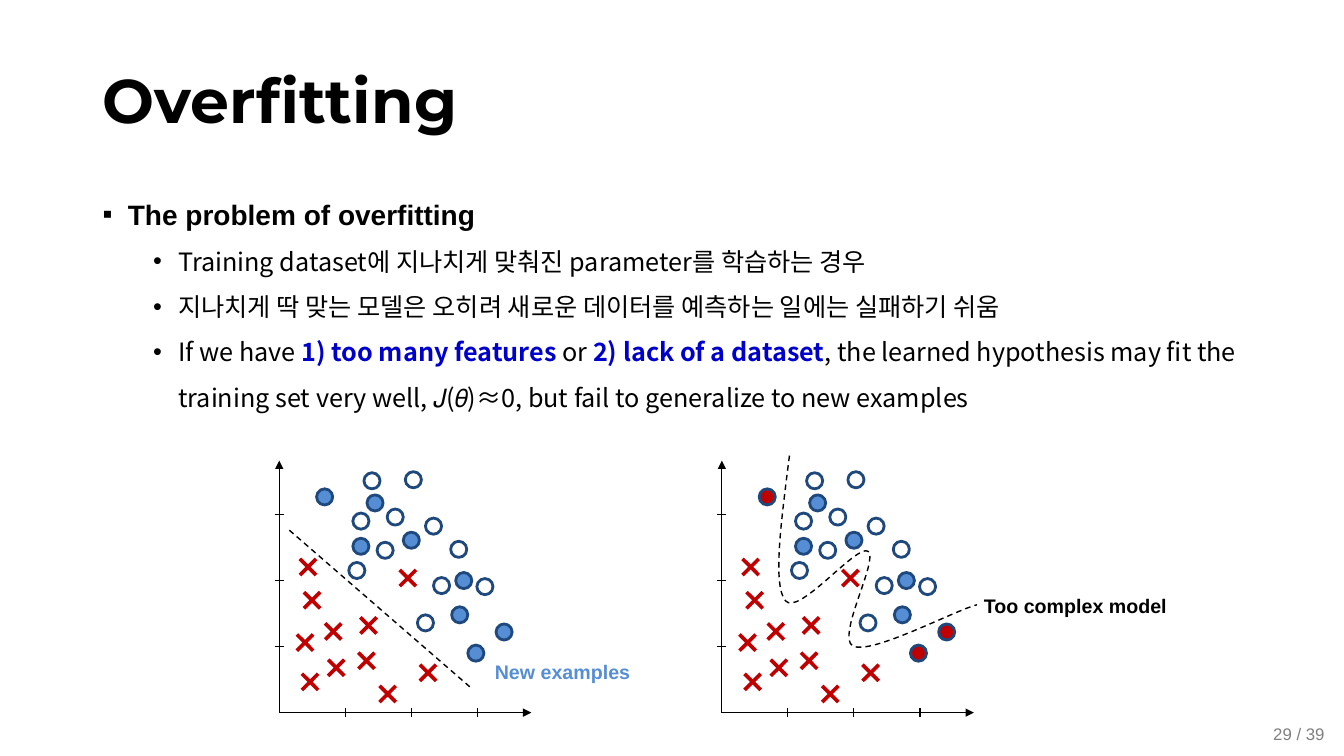
from lxml.etree import SubElement as Sub
from pptx import Presentation
from pptx.dml.color import RGBColor as Rgb
from pptx.enum.dml import MSO_LINE as Dash
from pptx.enum.shapes import MSO_CONNECTOR as Conn, MSO_SHAPE as Shape
from pptx.enum.text import MSO_ANCHOR as Anchor, PP_ALIGN as Align
from pptx.oxml.ns import qn
from pptx.util import Inches, Pt

HUES = {"black": "000000", "gray": "808080", "red": "C00000",
        "navy": "1F497D", "blue": "558ED5", "mark": "0000CC"}
SANS, KOREAN = "Arial", "Noto Sans CJK KR"

CROSSES = [(.17, 1.23), (.15, 2.04), (.38, 1.54), (1.32, 1.95), (.13, .9), (.41, 1.9),
           (.71, 1.83), (.92, 2.16), (.1, 1.65), (.73, 1.48), (1.12, 1.01)]
RINGS = [(1.96, 1.17), (1.53, 1.16), (.84, .12), (1.7, .8), (.97, .81), (.73, .52),
         (1.07, .48), (1.25, .11), (1.45, .57), (1.37, 1.53), (.69, 1.01)]
GOOD = [(1.23, .71), (1.71, 1.45), (.73, .77), (1.75, 1.11), (.87, .34)]
HARD = [(.37, .28), (2.15, 1.62), (1.87, 1.83)]
BENDS = [(.67, -.05), (.59, .59), (.5, 1.23), (.63, 1.39), (.76, 1.55), (1.34, .82),
         (1.45, .9), (1.56, .98), (1.13, 1.75), (1.3, 1.84), (1.48, 1.93), (2.3, 1.49),
         (2.53, 1.43)]

POINTS = [
    [("Training dataset에 지나치게 맞춰진 parameter를 학습하는 경우", False)],
    [("지나치게 딱 맞는 모델은 오히려 새로운 데이터를 예측하는 일에는 실패하기 쉬움", False)],
    [("If we have ", False), ("1) too many features", True), (" or ", False),
     ("2) lack of a dataset", True),
     (", the learned hypothesis may fit the training set very well, 𝐽(𝜃)≈0, "
      "but fail to generalize to new examples", False)],
]


def tint(hue):
    """Return the named colour."""
    return Rgb.from_string(HUES[hue])


def style(para, size, face=SANS, hue="black", bold=False):
    """Set the font of a whole paragraph."""
    font = para.font
    font.size, font.bold, font.name = Pt(size), bold, face
    font.color.rgb = tint(hue)
    Sub(font._element, qn("a:ea"), typeface=face)


def frame(slide, x, y, w, h, wrap=True):
    """Add a text box and return its text frame."""
    text = slide.shapes.add_textbox(*map(Inches, (x, y, w, h))).text_frame
    text.word_wrap = wrap
    return text


def bullet(para, sign, left):
    """Give a paragraph a hanging bullet."""
    props = para._p.get_or_add_pPr()
    props.set("marL", str(Inches(left)))
    props.set("indent", str(Inches(-.25)))
    Sub(props, qn("a:buFont"), typeface=SANS)
    Sub(props, qn("a:buChar"), char=sign)
    para.line_spacing = 1.5


def title(slide, x, y, w, h):
    """Write the heading."""
    text = frame(slide, x, y, w, h)
    text.vertical_anchor = Anchor.MIDDLE
    para = text.paragraphs[0]
    para.text, para.line_spacing = "Overfitting", .9
    style(para, 44, "Montserrat", bold=True)


def body(slide, x, y, w, h):
    """Write the bulleted list."""
    text = frame(slide, x, y, w, h)
    head = text.paragraphs[0]
    head.text = "The problem of overfitting"
    bullet(head, "▪", .25)
    style(head, 20, bold=True)
    for point in POINTS:
        para = text.add_paragraph()
        para.level = 1
        bullet(para, "•", .75)
        style(para, 18, KOREAN)
        for words, strong in point:
            run = para.add_run()
            run.text = words
            if strong:
                run.font.bold = True
                run.font.color.rgb = tint("mark")


def footer(slide, x, y, w, h):
    """Write the page number."""
    para = frame(slide, x, y, w, h, wrap=False).paragraphs[0]
    para.text = "29 / 39"
    style(para, 12, hue="gray")


def label(slide, x, y, w, words, hue):
    """Write a caption beside a plot."""
    para = frame(slide, x, y, w, .38).paragraphs[0]
    para.text, para.line_spacing, para.alignment = words, 1.2, Align.JUSTIFY
    style(para, 14, hue=hue, bold=True)


def stroke(slide, x1, y1, x2, y2, width=.75, arrow=False, dash=False):
    """Draw a straight black line."""
    rule = slide.shapes.add_connector(Conn.STRAIGHT, *map(Inches, (x1, y1, x2, y2)))
    rule.line.color.rgb, rule.line.width = tint("black"), Pt(width)
    if dash:
        rule.line.dash_style = Dash.DASH
    if arrow:
        Sub(rule.line._get_or_add_ln(), qn("a:tailEnd"), type="triangle")
    Sub(rule._element.spPr, qn("a:effectLst"))


def cross(slide, x, y):
    """Draw a red cross."""
    mark = slide.shapes.add_shape(Shape.MATH_MULTIPLY, *map(Inches, (x, y, .31, .31)))
    mark.shadow.inherit = False
    mark.adjustments[0] = .118
    mark.fill.solid()
    mark.fill.fore_color.rgb = tint("red")
    mark.line.fill.background()


def dot(slide, x, y, hue=None):
    """Draw a navy ring, filled when a hue is given."""
    disc = slide.shapes.add_shape(Shape.OVAL, *map(Inches, (x, y, .16, .16)))
    disc.shadow.inherit = False
    disc.line.color.rgb, disc.line.width = tint("navy"), Pt(2)
    if hue:
        disc.fill.solid()
        disc.fill.fore_color.rgb = tint(hue)
    else:
        disc.fill.background()


def plot(slide, x, y, side, hue):
    """Draw axes, ticks and samples, with the hard samples in the given hue."""
    for dx, dy in CROSSES:
        cross(slide, x + dx, y + dy)
    for dx, dy in RINGS:
        dot(slide, x + dx, y + dy)
    base = y + side
    stroke(slide, x, base, x + side, base, arrow=True)
    stroke(slide, x, base, x, y, arrow=True)
    for i in (1, 2, 3):
        gap = .655 * i
        stroke(slide, x + gap, base - .045, x + gap, base + .045)
        stroke(slide, x - .045, base - gap, x + .045, base - gap)
    for spots, fill in ((GOOD, "blue"), (HARD, hue)):
        for dx, dy in spots:
            dot(slide, x + dx, y + dy, fill)


def trace(nodes, steps=16):
    """Return points along joined cubic curves."""
    points = [nodes[0]]
    for k in range(0, len(nodes) - 1, 3):
        for i in range(1, steps + 1):
            t = i / steps
            parts = ((1 - t) ** 3, 3 * t * (1 - t) ** 2, 3 * t * t * (1 - t), t ** 3)
            points.append(tuple(sum(p * n[axis] for p, n in zip(parts, nodes[k:k + 4]))
                                for axis in (0, 1)))
    return points


def curve(slide, x, y):
    """Draw the winding dashed boundary."""
    first, *rest = [(Inches(x + dx), Inches(y + dy)) for dx, dy in trace(BENDS)]
    pen = slide.shapes.build_freeform(*first)
    pen.add_line_segments(rest, close=False)
    wave = pen.convert_to_shape()
    wave.shadow.inherit = False
    wave.fill.background()
    wave.line.color.rgb, wave.line.width = tint("black"), Pt(1)
    wave.line.dash_style = Dash.DASH


def simple(slide, x, y, side):
    """Draw the plot with a straight boundary."""
    plot(slide, x, y, side, "blue")
    stroke(slide, x + .1, y + .69, x + 1.92, y + 2.27, 1, dash=True)
    label(slide, x + 2.04, y + 1.88, 1.84, "New examples", "blue")


def winding(slide, x, y, side):
    """Draw the plot with a winding boundary."""
    plot(slide, x, y, side, "red")
    curve(slide, x, y)
    label(slide, x + 2.5, y + 1.23, 2.54, "Too complex model", "black")


def main():
    """Build and save the slide."""
    deck = Presentation()
    deck.slide_width, deck.slide_height = Inches(13.33), Inches(7.5)
    slide = deck.slides.add_slide(deck.slide_layouts[6])
    title(slide, .92, .3, 11.5, 1.45)
    body(slide, .92, 1.74, 11.5, 5.35)
    simple(slide, 2.77, 4.57, 2.5)
    winding(slide, 7.16, 4.57, 2.5)
    footer(slide, 12.53, 7.13, .73, .3)
    deck.save("out.pptx")


if __name__ == "__main__":
    main()
